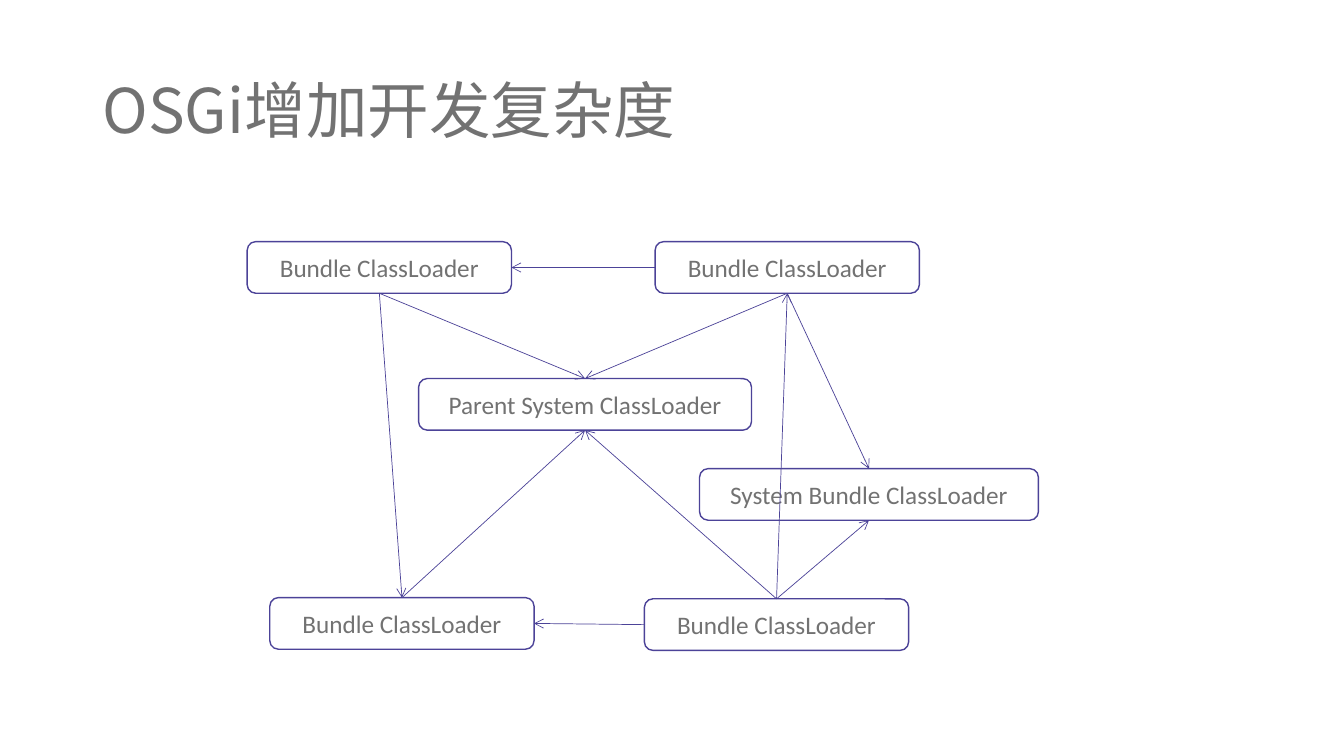
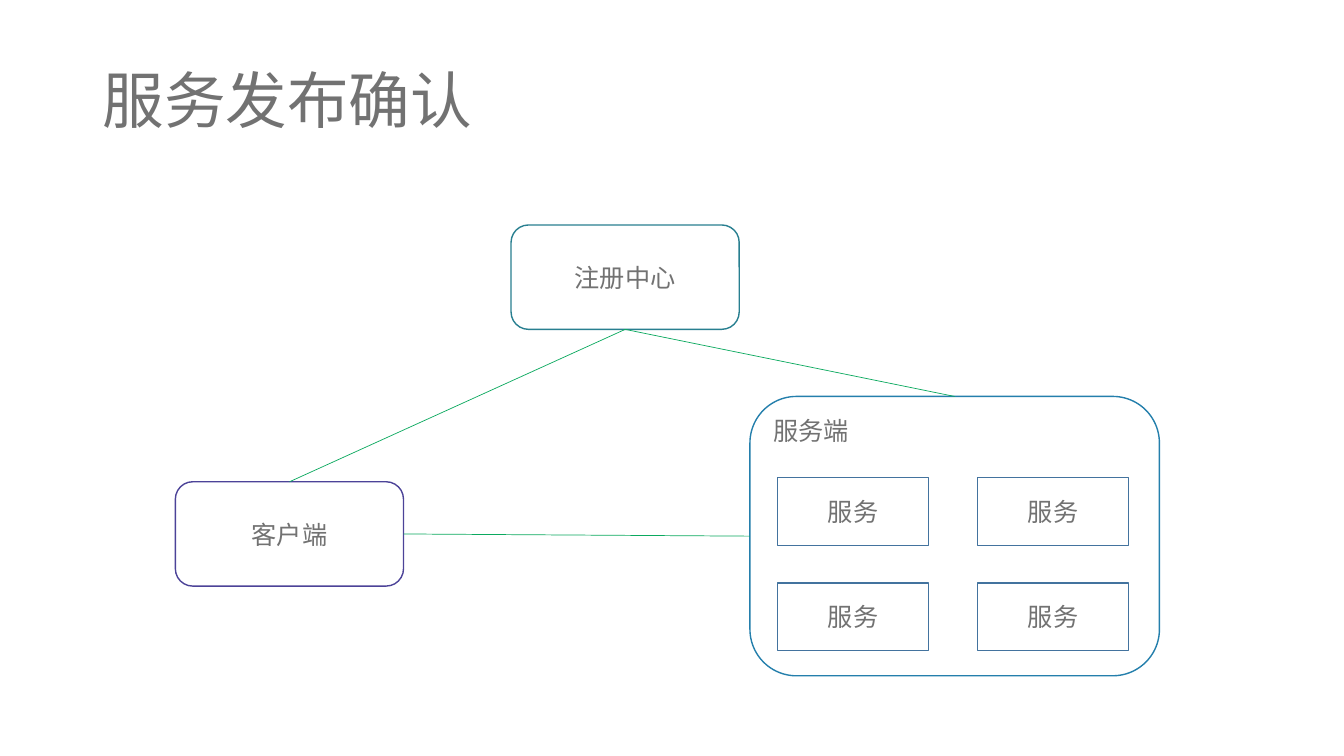
from dataclasses import dataclass

from lxml.etree import SubElement
from pptx import Presentation
from pptx.dml.color import RGBColor
from pptx.enum.shapes import MSO_CONNECTOR as Connector, MSO_SHAPE as Preset
from pptx.enum.text import MSO_ANCHOR as Anchor, MSO_AUTO_SIZE as AutoSize, PP_ALIGN as Align
from pptx.oxml.ns import qn
from pptx.util import Cm, Pt

TITLE_ONLY = 5
TOP, LEFT, BOTTOM, RIGHT = range(4)  # connection sites of a rectangle


@dataclass(frozen=True)
class Theme:
    text: str = "727272"
    violet: str = "4C4398"
    teal: str = "287F90"
    blue: str = "247FAC"
    steel: str = "43739E"
    green: str = "0BA95F"
    latin: str = "Calibri"
    asian: str = "Noto Sans CJK SC"
    title_size: float = 44
    label_size: float = 18
    outline: float = 1
    link: float = 0.5


@dataclass(frozen=True)
class Box:
    """A region in centimetres."""
    left: float
    top: float
    width: float
    height: float

    def inner(self, left, top, width, height):
        """Return a region whose corner is measured from this one's corner."""
        return Box(self.left + left, self.top + top, width, height)

    def lengths(self):
        return [Cm(n) for n in (self.left, self.top, self.width, self.height)]


THEME = Theme()


def write(frame, text, size, latin, align):
    frame.text = text
    frame.word_wrap = True
    paragraph = frame.paragraphs[0]
    paragraph.alignment = align
    for run in paragraph.runs:
        run.font.size = Pt(size)
        run.font.color.rgb = RGBColor.from_string(THEME.text)
        run.font.name = latin
        SubElement(run.font._element, qn("a:ea"), typeface=THEME.asian)


def add_titled_slide(deck, heading, top):
    slide = deck.slides.add_slide(deck.slide_layouts[TITLE_ONLY])
    title = slide.shapes.title
    title.left, title.top, title.width, title.height = Box(2.33, top, 29.21, 3.68).lengths()
    frame = title.text_frame
    write(frame, heading, THEME.title_size, THEME.asian, Align.LEFT)
    frame.auto_size = AutoSize.NONE
    frame.vertical_anchor = Anchor.MIDDLE
    frame.paragraphs[0].line_spacing = 0.9
    return slide


def add_node(slide, box, label, color, preset=Preset.ROUNDED_RECTANGLE,
             align=Align.CENTER, anchor=Anchor.MIDDLE):
    node = slide.shapes.add_shape(preset, *box.lengths())
    node.shadow.inherit = False
    node.fill.background()
    node.line.color.rgb = RGBColor.from_string(color)
    node.line.width = Pt(THEME.outline)
    write(node.text_frame, label, THEME.label_size, THEME.latin, align)
    node.text_frame.vertical_anchor = anchor
    return node


def link(slide, start, start_site, end, end_site, color, arrow=False):
    """Join two nodes with a straight line glued to their connection sites."""
    line = slide.shapes.add_connector(Connector.STRAIGHT, 0, 0, 0, 0)
    line.begin_connect(start, start_site)
    line.end_connect(end, end_site)
    line.line.color.rgb = RGBColor.from_string(color)
    line.line.width = Pt(THEME.link)
    properties = line._element.spPr
    if arrow:
        SubElement(properties.find(qn("a:ln")), qn("a:tailEnd"), type="arrow")
    SubElement(properties, qn("a:effectLst"))


def draw_class_loaders(slide, area):
    bundle, bundle_width, height = "Bundle ClassLoader", 6.66, 1.3

    def loader(left, top, label=bundle, width=bundle_width):
        return add_node(slide, area.inner(left, top, width, height), label, THEME.violet)

    lower_right = loader(10.01, 9)
    lower_left = loader(0.57, 8.97)
    upper_left = loader(0, 0)
    upper_right = loader(10.28, 0)
    system = loader(11.4, 5.72, "System Bundle ClassLoader", 8.54)
    parent = loader(4.32, 3.45, "Parent System ClassLoader", 8.39)

    for ends in (
        (upper_right, LEFT, upper_left, RIGHT),
        (upper_right, BOTTOM, parent, TOP),
        (upper_right, BOTTOM, system, TOP),
        (upper_left, BOTTOM, parent, TOP),
        (upper_left, BOTTOM, lower_left, TOP),
        (lower_left, TOP, parent, BOTTOM),
        (lower_right, LEFT, lower_left, RIGHT),
        (lower_right, TOP, parent, BOTTOM),
        (lower_right, TOP, system, BOTTOM),
        (lower_right, TOP, upper_right, BOTTOM),
    ):
        link(slide, *ends, THEME.violet, arrow=True)


def draw_server(slide, box):
    """Draw the server with its two-by-two grid of services."""
    server = add_node(slide, box, "服务端", THEME.blue, align=Align.LEFT, anchor=Anchor.TOP)
    for top in (2.05, 4.7):
        for left in (0.7, 5.74):
            add_node(slide, box.inner(left, top, 3.8, 1.71), "服务", THEME.steel, Preset.RECTANGLE)
    return server


def draw_service_registration(slide, area):
    server = draw_server(slide, area.inner(14.48, 4.32, 10.32, 7.04))
    client = add_node(slide, area.inner(0, 6.47, 5.75, 2.63), "客户端", THEME.violet)
    registry = add_node(slide, area.inner(8.46, 0, 5.75, 2.63), "注册中心", THEME.teal)
    for ends in (
        (client, RIGHT, server, LEFT),
        (client, TOP, registry, BOTTOM),
        (registry, BOTTOM, server, TOP),
    ):
        link(slide, *ends, THEME.green)


def main():
    deck = Presentation()
    deck.slide_width, deck.slide_height = Cm(33.87), Cm(19.05)
    draw_class_loaders(add_titled_slide(deck, "OSGi增加开发复杂度", 1.01),
                       Box(6.23, 6.09, 19.94, 10.3))
    draw_service_registration(add_titled_slide(deck, "服务发布确认", 0.78),
                              Box(4.42, 5.67, 24.8, 11.36))
    deck.save("out.pptx")


if __name__ == "__main__":
    main()
